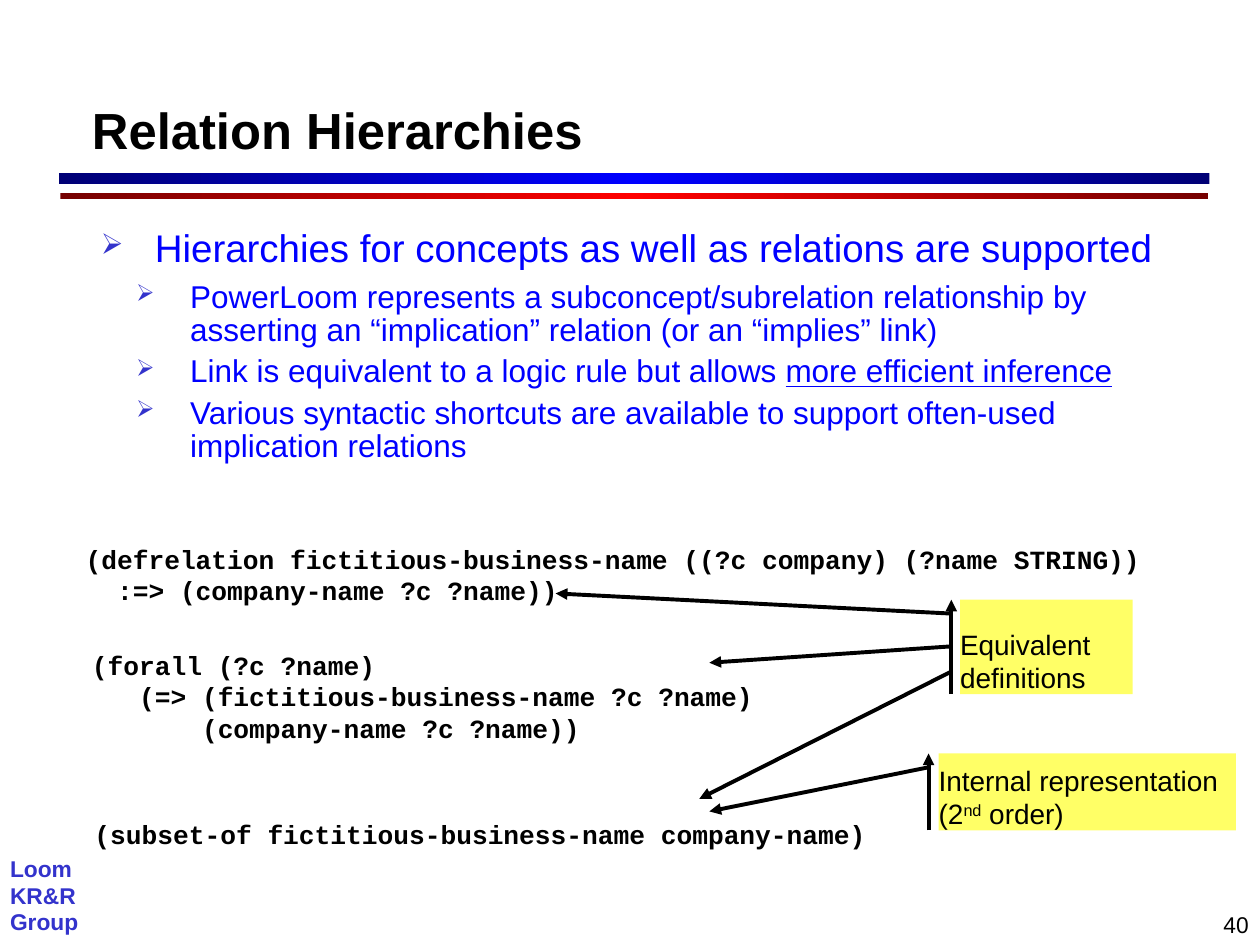
from copy import deepcopy

from pptx import Presentation
from pptx.dml.color import RGBColor
from pptx.enum.shapes import MSO_CONNECTOR as Connector, MSO_SHAPE as Preset
from pptx.enum.text import MSO_ANCHOR as Anchor, PP_ALIGN as Align
from pptx.oxml.ns import qn
from pptx.oxml.xmlchemy import OxmlElement
from pptx.util import Inches, Pt

COLUMNS, ROWS = 100, 75
WIDTH, HEIGHT = Inches(10), Inches(7.5)
BLACK = RGBColor(0x00, 0x00, 0x00)
WHITE = RGBColor(0xFF, 0xFF, 0xFF)
BLUE = RGBColor(0x00, 0x00, 0xFF)
NAVY = RGBColor(0x00, 0x00, 0x75)
RED = RGBColor(0xFF, 0x00, 0x00)
MAROON = RGBColor(0x75, 0x00, 0x00)
INDIGO = RGBColor(0x33, 0x33, 0xCC)
YELLOW = RGBColor(0xFF, 0xFF, 0x66)


def column(count):
    """Return the length of a number of grid columns."""
    return round(WIDTH * count / COLUMNS)


def row(count):
    """Return the length of a number of grid rows."""
    return round(HEIGHT * count / ROWS)


def place(left, top, width, height):
    """Turn a grid area into slide lengths."""
    return column(left), row(top), column(width), row(height)


def add_child(parent, tag, **attributes):
    """Append an XML element with the given attributes."""
    child = OxmlElement(tag)
    for name, value in attributes.items():
        child.set(name, value)
    parent.append(child)
    return child


def set_bullet(paragraph, indent):
    """Give a paragraph an arrow bullet and a hanging indent."""
    properties = paragraph._p.get_or_add_pPr()
    properties.set("marL", str(column(indent)))
    properties.set("indent", str(-column(4.3)))
    add_child(add_child(properties, "a:buClr"), "a:srgbClr", val=str(INDIGO))
    add_child(properties, "a:buSzPct", val="75000")
    add_child(properties, "a:buChar", char="➢")


def write(paragraph, text, size=16, font="Arial", color=BLACK, bold=False,
          underline=False, baseline=0, align=Align.LEFT, spacing=1.0, after=0):
    """Add text to a paragraph with its format, one run for each line."""
    paragraph.alignment = align
    paragraph.line_spacing = spacing
    paragraph.space_after = Pt(after)
    for index, line in enumerate(text.split("\n")):
        if index:
            paragraph.add_line_break()
        run = paragraph.add_run()
        run.text = line
        run.font.size = Pt(size)
        run.font.name = font
        run.font.color.rgb = color
        run.font.bold = bold
        run.font.underline = underline
        if baseline:
            run._r.get_or_add_rPr().set("baseline", str(baseline * 1000))


def prepare_frame(shape, anchor):
    """Make the text frame of a shape wrap without margins."""
    frame = shape.text_frame
    frame.word_wrap = True
    frame.vertical_anchor = anchor
    frame.margin_left = frame.margin_right = 0
    frame.margin_top = frame.margin_bottom = 0
    return frame


def add_text(slide, area, text, anchor=Anchor.TOP, **style):
    """Add a text box holding one paragraph."""
    box = slide.shapes.add_textbox(*place(*area))
    write(prepare_frame(box, anchor).paragraphs[0], text, **style)


def add_code(slide, area, text):
    """Add a block of code."""
    add_text(slide, area, text, Anchor.BOTTOM, size=15, font="Courier New", bold=True)


def add_bar(slide, area, edge, middle):
    """Add a title rule that shades from its edges to its middle."""
    bar = slide.shapes.add_shape(Preset.RECTANGLE, *place(*area))
    bar.shadow.inherit = False
    bar.line.fill.background()
    bar.fill.gradient()
    bar.fill.gradient_angle = 0
    stop_list = bar._element.find(".//" + qn("a:gsLst"))
    stop_list.append(deepcopy(stop_list[0]))
    stops = zip(bar.fill.gradient_stops, (0, 0.5, 1), (edge, middle, edge))
    for stop, position, color in stops:
        stop.position = position
        stop.color.rgb = color


def add_arrow(slide, start, end):
    """Add a black line with an arrowhead at its end."""
    arrow = slide.shapes.add_connector(
        Connector.STRAIGHT, column(start[0]), row(start[1]), column(end[0]), row(end[1]))
    arrow.line.color.rgb = BLACK
    arrow.line.width = Pt(2.25)
    add_child(arrow.line._get_or_add_ln(), "a:tailEnd", type="triangle")
    add_child(arrow._element.spPr, "a:effectLst")


def add_callout(slide, area, paragraphs, bar_column, leaders):
    """Add a yellow note with an upright accent arrow and its leaders."""
    left, top, width, height = area
    note = slide.shapes.add_shape(Preset.RECTANGLE, *place(*area))
    note.shadow.inherit = False
    note.fill.solid()
    note.fill.fore_color.rgb = YELLOW
    note.line.fill.background()
    frame = prepare_frame(note, Anchor.BOTTOM)
    for index, runs in enumerate(paragraphs):
        paragraph = frame.add_paragraph() if index else frame.paragraphs[0]
        for text, baseline in runs:
            write(paragraph, text, baseline=baseline)
    add_arrow(slide, (bar_column, top + height), (bar_column, top))
    for start_row, end in leaders:
        add_arrow(slide, (bar_column, start_row), end)


def add_bullets(slide, area, items):
    """Add a bulleted list of main and secondary points."""
    frame = prepare_frame(slide.shapes.add_textbox(*place(*area)), Anchor.TOP)
    for index, (level, text, underlined) in enumerate(items):
        paragraph = frame.add_paragraph() if index else frame.paragraphs[0]
        paragraph.level = level
        set_bullet(paragraph, (5, 7.8)[level])
        style = dict(size=(22, 18)[level], color=BLUE, spacing=0.87, after=(6.4, 5.1)[level])
        write(paragraph, text, **style)
        if underlined:
            write(paragraph, underlined, underline=True, **style)


def main():
    """Build the slide and save it."""
    presentation = Presentation()
    presentation.slide_width, presentation.slide_height = WIDTH, HEIGHT
    slide = presentation.slides.add_slide(presentation.slide_layouts[6])
    slide.background.fill.solid()
    slide.background.fill.fore_color.rgb = WHITE

    add_bar(slide, (4.8, 15.3, 91.1, 0.5), MAROON, RED)
    add_bar(slide, (4.7, 13.7, 91.3, 0.9), NAVY, BLUE)
    add_text(slide, (0.8, 68, 6.2, 6.4), "Loom\nKR&R\nGroup",
             size=13, color=INDIGO, bold=True, spacing=0.97)
    add_text(slide, (82, 72.3, 17.1, 2.1), "40", size=13, align=Align.RIGHT)
    add_text(slide, (7.3, 1.4, 85.4, 11.4), "Relation Hierarchies",
             Anchor.BOTTOM, size=29, bold=True, spacing=0.97)
    add_bullets(slide, (7.3, 18.3, 85.4, 20.6), [
        (0, "Hierarchies for concepts as well as relations are supported", ""),
        (1, "PowerLoom represents a subconcept/subrelation relationship by asserting "
            "an “implication” relation (or an “implies” link)", ""),
        (1, "Link is equivalent to a logic rule but allows ", "more efficient inference"),
        (1, "Various syntactic shortcuts are available to support often-used "
            "implication relations", ""),
    ])

    add_code(slide, (6.8, 43.1, 84.6, 5),
             "(defrelation fictitious-business-name ((?c company) (?name STRING))\n"
             "  :=> (company-name ?c ?name))")
    add_code(slide, (7.3, 51.5, 84.6, 7.5),
             "(forall (?c ?name)\n"
             "   (=> (fictitious-business-name ?c ?name)\n"
             "       (company-name ?c ?name))")
    add_code(slide, (7.5, 64.9, 84.6, 2.5),
             "(subset-of fictitious-business-name company-name)")

    add_callout(slide, (76.2, 47.6, 13.7, 7.5), [[("Equivalent definitions", 0)]], 75.5,
                [(48.7, (44.1, 47.1)), (51.3, (56.3, 52.6)), (53.3, (55.5, 63.4))])
    add_callout(slide, (74.5, 59.8, 23.6, 6.1),
                [[("Internal representation", 0)], [("(2", 0), ("nd", 30), (" order)", 0)]],
                73.7, [(60.9, (56.3, 64.4))])
    presentation.save("out.pptx")


if __name__ == "__main__":
    main()
